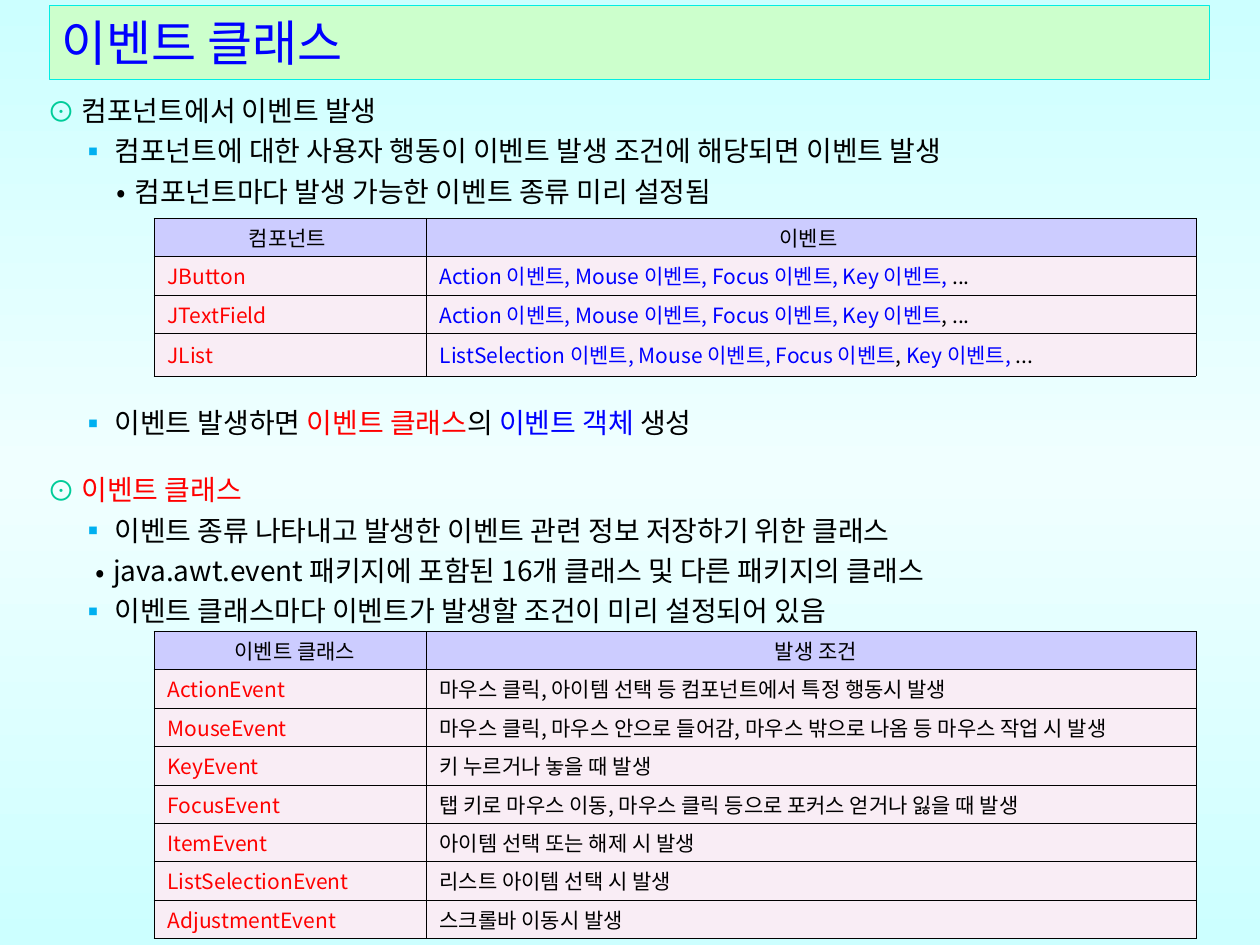
import pptx
import pptx.util
import pptx.dml.color
import pptx.enum.text
import pptx.enum.shapes
import pptx.oxml
import pptx.oxml.ns

Inches, Pt = pptx.util.Inches, pptx.util.Pt
ALIGN = pptx.enum.text.PP_ALIGN
MIDDLE = pptx.enum.text.MSO_ANCHOR.MIDDLE
FONT = "Noto Sans CJK KR"
NS = pptx.oxml.ns.nsdecls("a")
COLORS = {
    "black": "000000", "red": "FF0000", "blue": "0000FF", "green": "00CC99",
    "sky": "00B0F0", "title": "CCFFCC", "edge": "03EDE2",
    "head": "CCCCFF", "body": "F9EDF5", "rim": "CCFFFF", "mid": "F0FFFF",
}
# level: bullet sign, bullet colour, bullet offset, text offset (inches)
LEVELS = {
    "top": ("⊙", "green", 0, 0.27),
    "sub": ("▪", "sky", 0.25, 0.53),
    "note": ("•", "black", 0.38, 0.52),
    "deep": ("•", "black", 0.55, 0.69),
}
# level, space before (points), runs
POINTS = [
    ("top", 0, [("컴포넌트에서 이벤트 발생", "black")]),
    ("sub", 0, [("컴포넌트에 대한 사용자 행동이 이벤트 발생 조건에 해당되면 이벤트 발생", "black")]),
    ("deep", 0, [("컴포넌트마다 발생 가능한 이벤트 종류 미리 설정됨", "black")]),
    ("sub", 109.5, [("이벤트 발생하면 ", "black"), ("이벤트 클래스", "red"), ("의 ", "black"),
                    ("이벤트 객체 ", "blue"), ("생성", "black")]),
    ("top", 15.2, [("이벤트 클래스", "red")]),
    ("sub", 0, [("이벤트 종류 나타내고 발생한 이벤트 관련 정보 저장하기 위한 클래스", "black")]),
    ("note", 0, [("java.awt.event 패키지에 포함된 16개 클래스 및 다른 패키지의 클래스", "black")]),
    ("sub", 0, [("이벤트 클래스마다 이벤트가 발생할 조건이 미리 설정되어 있음", "black")]),
]
COMMON = "Action 이벤트, Mouse 이벤트, Focus 이벤트, Key 이벤트"
SOURCES = [
    ("컴포넌트 ", [("이벤트 ", "black")]),
    ("JButton", [(COMMON + ", ", "blue"), ("...", "black")]),
    ("JTextField", [(COMMON, "blue"), (", ...", "black")]),
    ("JList", [("ListSelection 이벤트, Mouse 이벤트, Focus 이벤트", "blue"), (", ", "black"),
               ("Key 이벤트, ", "blue"), ("...", "black")]),
]
CAUSES = [
    ("이벤트 클래스", "발생 조건"),
    ("ActionEvent", "마우스 클릭, 아이템 선택 등 컴포넌트에서 특정 행동시 발생"),
    ("MouseEvent", "마우스 클릭, 마우스 안으로 들어감, 마우스 밖으로 나옴 등 마우스 작업 시 발생"),
    ("KeyEvent", "키 누르거나 놓을 때 발생"),
    ("FocusEvent", "탭 키로 마우스 이동, 마우스 클릭 등으로 포커스 얻거나 잃을 때 발생"),
    ("ItemEvent", "아이템 선택 또는 해제 시 발생"),
    ("ListSelectionEvent", "리스트 아이템 선택 시 발생"),
    ("AdjustmentEvent", "스크롤바 이동시 발생"),
]


def color(name):
    return pptx.dml.color.RGBColor.from_string(COLORS[name])


def paint(thing, name):
    thing.fill.solid()
    thing.fill.fore_color.rgb = color(name)


def write(para, parts, size):
    """Fill a paragraph with (text, colour) runs."""
    for text, name in parts:
        run = para.add_run()
        run.text = text
        font = run.font
        font.size, font.name = Pt(size), FONT
        font.color.rgb = color(name)
        east = pptx.oxml.parse_xml(f'<a:ea {NS} typeface="{FONT}"/>')
        run._r.rPr.find(pptx.oxml.ns.qn("a:latin")).addnext(east)


def add_back(slide):
    """Vertical three-stop gradient behind the slide."""
    fill = slide.background.fill
    fill.gradient()
    fill.gradient_angle = 270
    stops = "".join(
        f'<a:gs pos="{pos}"><a:srgbClr val="{COLORS[name]}"/></a:gs>'
        for pos, name in ((0, "rim"), (50000, "mid"), (100000, "rim")))
    grad = slide._element.find(".//" + pptx.oxml.ns.qn("a:gsLst"))
    grad.getparent().replace(grad, pptx.oxml.parse_xml(f"<a:gsLst {NS}>{stops}</a:gsLst>"))


def add_title(slide, text):
    bar = slide.shapes.add_shape(pptx.enum.shapes.MSO_SHAPE.RECTANGLE, Inches(0.39),
                                 Inches(0.04), Inches(9.21), Inches(0.59))
    bar.shadow.inherit = False
    paint(bar, "title")
    bar.line.color.rgb = color("edge")
    bar.line.width = Pt(0.25)
    frame = bar.text_frame
    frame.vertical_anchor = MIDDLE
    para = frame.paragraphs[0]
    para.alignment = ALIGN.LEFT
    write(para, [(text, "blue")], 28)


def set_bullet(para, level):
    sign, name, start, text = LEVELS[level]
    props = para._p.get_or_add_pPr()
    props.set("marL", str(Inches(text)))
    props.set("indent", str(Inches(start) - Inches(text)))
    for item in (f'<a:buClr {NS}><a:srgbClr val="{COLORS[name]}"/></a:buClr>',
                 f'<a:buFont {NS} typeface="{FONT}"/>',
                 f'<a:buChar {NS} char="{sign}"/>'):
        props.append(pptx.oxml.parse_xml(item))


def add_points(slide):
    box = slide.shapes.add_textbox(Inches(0.28), Inches(0.64), Inches(9.64), Inches(6.86))
    frame = box.text_frame
    frame.word_wrap = True
    for i, (level, gap, parts) in enumerate(POINTS):
        para = frame.add_paragraph() if i else frame.paragraphs[0]
        set_bullet(para, level)
        para.line_spacing = 1.2
        if gap:
            para.space_before = Pt(gap)
        write(para, parts, 16)


def add_edges(cell):
    props = cell._tc.get_or_add_tcPr()
    for i, side in enumerate("LRTB"):
        props.insert(i, pptx.oxml.parse_xml(
            f'<a:ln{side} {NS} w="{Pt(0.25)}"><a:solidFill>'
            f'<a:srgbClr val="{COLORS["black"]}"/></a:solidFill></a:ln{side}>'))


def fill_cell(cell, parts, head, inset):
    cell.margin_left = cell.margin_right = Inches(0.03)
    cell.margin_top = cell.margin_bottom = Inches(0.03)
    cell.vertical_anchor = MIDDLE
    paint(cell, "head" if head else "body")
    add_edges(cell)
    para = cell.text_frame.paragraphs[0]
    para._p.get_or_add_pPr().set("marL", str(Inches(inset)))
    if head:
        para.alignment = ALIGN.CENTER
    write(para, parts, 12)


def add_grid(slide, top, rows, highs, inset):
    """Two-column table; inset is the indent of the heading row."""
    frame = slide.shapes.add_table(len(rows), 2, Inches(1.22), Inches(top),
                                   Inches(8.27), Inches(sum(highs)))
    table = frame.table
    for col, wide in zip(table.columns, (2.16, 6.11)):
        col.width = Inches(wide)
    for i, (name, parts) in enumerate(rows):
        table.rows[i].height = Inches(highs[i])
        head = i == 0
        indent = inset if head else 0.08
        fill_cell(table.cell(i, 0), [(name, "black" if head else "red")], head, indent)
        fill_cell(table.cell(i, 1), parts, head, indent)


def main():
    deck = pptx.Presentation()
    deck.slide_width, deck.slide_height = Inches(10), Inches(7.5)
    slide = deck.slides.add_slide(deck.slide_layouts[6])
    add_back(slide)
    add_points(slide)
    add_title(slide, "이벤트 클래스")
    row = 2.44 / len(CAUSES)
    add_grid(slide, 1.73, SOURCES, [row, row, row, 0.34], 0)
    causes = [(name, [(text, "black")]) for name, text in CAUSES]
    add_grid(slide, 5.01, causes, [row] * len(causes), 0.08)
    deck.save("out.pptx")


if __name__ == "__main__":
    main()
